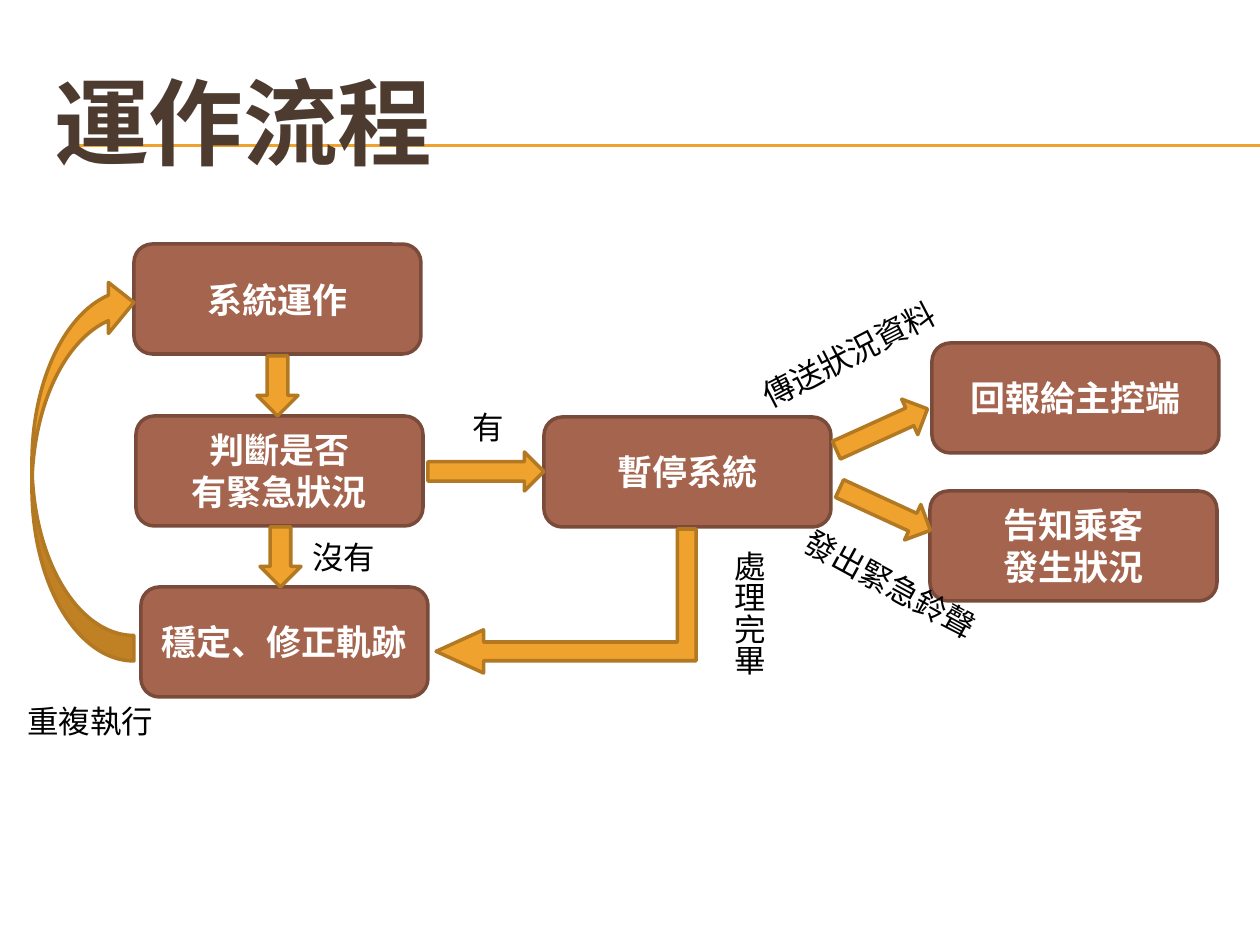
from dataclasses import dataclass

from lxml import etree
from pptx import Presentation
from pptx import util as u
from pptx.dml.color import RGBColor
from pptx.enum import shapes, text
from pptx.oxml.ns import qn


@dataclass(frozen=True)
class Theme:
    font: str = "Karla"
    title: str = "4E3B30"
    box: str = "A5644E"
    box_edge: str = "7A4A3A"
    arrow: str = "F0A22E"
    arrow_edge: str = "B27822"
    on_box: str = "FFFFFF"
    label: str = "000000"
    title_size: int = 54
    box_size: int = 20
    label_size: int = 18
    edge_width: int = 2
    rule_width: float = 0.75


THEME = Theme()
SCALE = 914400 / 126  # EMU per px
BOX_SIZE = (287, 110)
KIND = shapes.MSO_SHAPE


def px(*lengths):
    return [u.Emu(round(length * SCALE)) for length in lengths]


def rgb(value):
    return RGBColor.from_string(value)


def write(frame, lines, size, color, bold=False, align=text.PP_ALIGN.LEFT):
    for index, line in enumerate(lines):
        paragraph = frame.paragraphs[0] if index == 0 else frame.add_paragraph()
        paragraph.alignment = align
        run = paragraph.add_run()
        run.text = line
        run.font.name = THEME.font
        run.font.size = u.Pt(size)
        run.font.bold = bold
        run.font.color.rgb = rgb(color)


def add_rule(slide, y):
    left, right, top = px(71, 1260, y)
    rule = slide.shapes.add_connector(
        shapes.MSO_CONNECTOR.STRAIGHT, left, top, right, top)
    rule.line.color.rgb = rgb(THEME.arrow)
    rule.line.width = u.Pt(THEME.rule_width)
    etree.SubElement(rule._element.spPr, qn("a:effectLst"))


def add_solid(slide, kind, bounds, fill, edge):
    solid = slide.shapes.add_shape(kind, *px(*bounds))
    solid.shadow.inherit = False
    solid.fill.solid()
    solid.fill.fore_color.rgb = rgb(fill)
    solid.line.color.rgb = rgb(edge)
    solid.line.width = u.Pt(THEME.edge_width)
    return solid


def add_step(slide, left, top, *lines):
    step = add_solid(slide, KIND.ROUNDED_RECTANGLE, (left, top, *BOX_SIZE),
                     THEME.box, THEME.box_edge)
    step.text_frame.word_wrap = True
    step.text_frame.vertical_anchor = text.MSO_ANCHOR.MIDDLE
    write(step.text_frame, lines, THEME.box_size, THEME.on_box, True,
          text.PP_ALIGN.CENTER)


def add_arrow(slide, kind, bounds, rotation=0, flip=None, adjustments=()):
    arrow = add_solid(slide, kind, bounds, THEME.arrow, THEME.arrow_edge)
    arrow.rotation = rotation
    if flip:
        arrow._element.spPr.xfrm.set(flip, "1")
    for index, value in enumerate(adjustments):
        arrow.adjustments[index] = value


def add_label(slide, words, bounds, rotation=0, vertical=False):
    label = slide.shapes.add_textbox(*px(*bounds))
    label.rotation = rotation
    label.text_frame.word_wrap = False
    if vertical:
        label.text_frame._txBody.bodyPr.set("vert", "eaVert")
    write(label.text_frame, [words], THEME.label_size, THEME.label)


def add_title(slide, words):
    title = slide.shapes.add_textbox(*px(42, 63, 1197, 116))
    title.text_frame.word_wrap = True
    title.text_frame.vertical_anchor = text.MSO_ANCHOR.MIDDLE
    write(title.text_frame, [words], THEME.title_size, THEME.title, True)


def main():
    deck = Presentation()
    deck.slide_width, deck.slide_height = px(1260, 945)
    slide = deck.slides.add_slide(deck.slide_layouts[6])

    # Heading over its double rule
    for y in (145, 146):
        add_rule(slide, y)
    add_title(slide, "運作流程")

    # Steps of the process
    add_step(slide, 932, 343, "回報給主控端")
    add_step(slide, 930, 491, "告知乘客", "發生狀況")
    add_step(slide, 134, 244, "系統運作")
    add_step(slide, 141, 587, "穩定、修正軌跡")
    add_step(slide, 136, 416, "判斷是否", "有緊急狀況")
    add_step(slide, 544, 417, "暫停系統")

    # Flow between the steps
    add_arrow(slide, KIND.RIGHT_ARROW, (832, 410, 100, 39), rotation=335.6)
    add_arrow(slide, KIND.DOWN_ARROW, (257, 356, 41, 60))
    add_arrow(slide, KIND.RIGHT_ARROW, (428, 452, 116, 39))
    add_arrow(slide, KIND.DOWN_ARROW, (260, 527, 41, 60))
    add_arrow(slide, KIND.RIGHT_ARROW, (835, 490, 100, 39), rotation=24.7)

    # Returns to earlier steps
    add_arrow(slide, KIND.BENT_UP_ARROW, (494, 471, 144, 260), rotation=270,
              flip="flipH", adjustments=(0.13, 0.15, 0.33))
    add_arrow(slide, KIND.CURVED_RIGHT_ARROW, (32, 277, 102, 384), flip="flipV")

    # Conditions and actions
    add_label(slide, "有", (460, 402, 57, 50))
    add_label(slide, "沒有", (300, 532, 89, 50))
    add_label(slide, "處理完畢", (672, 538, 102, 140), vertical=True)
    add_label(slide, "傳送狀況資料", (742, 328, 217, 50), rotation=332.6)
    add_label(slide, "發出緊急鈴聲", (774, 557, 217, 89), rotation=28.6)
    add_label(slide, "重複執行", (15, 696, 152, 50))

    deck.save("out.pptx")


if __name__ == "__main__":
    main()
